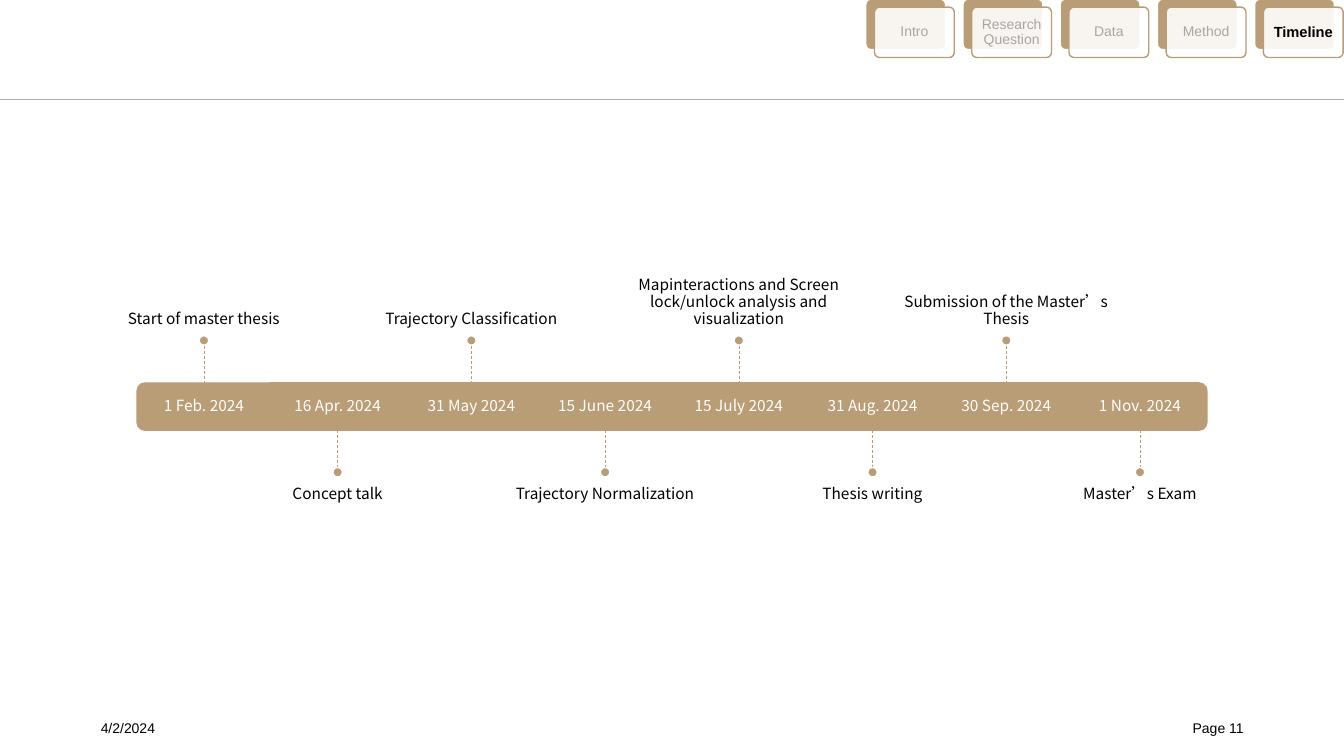
import dataclasses

import lxml.etree
import pptx
import pptx.dml.color
import pptx.enum.dml
import pptx.enum.shapes
import pptx.enum.text
import pptx.oxml.ns
import pptx.util

Cm = pptx.util.Cm
Pt = pptx.util.Pt
RGB = pptx.dml.color.RGBColor
Shape = pptx.enum.shapes.MSO_SHAPE
Straight = pptx.enum.shapes.MSO_CONNECTOR.STRAIGHT
Align = pptx.enum.text.PP_ALIGN
Anchor = pptx.enum.text.MSO_ANCHOR
qn = pptx.oxml.ns.qn


@dataclasses.dataclass(frozen=True)
class Theme:
    tan: RGB = RGB(0xB8, 0x9D, 0x76)
    white: RGB = RGB(0xFF, 0xFF, 0xFF)
    black: RGB = RGB(0, 0, 0)
    muted: RGB = RGB(0xA6, 0xA6, 0xA6)
    rule: RGB = RGB(0xA3, 0xAD, 0xB7)
    milestone_font: str = "Noto Sans CJK SC"
    frame_font: str = "Arial"
    milestone_size: float = 11
    frame_size: float = 10
    active_size: float = 10.5


theme = Theme()
presentation = pptx.Presentation()
presentation.slide_width = Cm(33.87)
presentation.slide_height = Cm(19.05)
slide = presentation.slides.add_slide(presentation.slide_layouts[6])
shapes = slide.shapes


def add_block(preset, left, top, width, height, fill, outline):
    block = shapes.add_shape(preset, Cm(left), Cm(top), Cm(width), Cm(height))
    block.shadow.inherit = False
    block.fill.solid()
    block.fill.fore_color.rgb = fill
    block.line.color.rgb = outline
    block.line.width = Pt(1)
    return block


def write(holder, text, font, size, color, align=Align.CENTER,
          anchor=Anchor.MIDDLE, margins=(0, 0, 0, 0), spacing=0.9, bold=False):
    frame = holder.text_frame
    frame.word_wrap = True
    frame.vertical_anchor = anchor
    (frame.margin_left, frame.margin_top,
     frame.margin_right, frame.margin_bottom) = map(Cm, margins)
    paragraph = frame.paragraphs[0]
    paragraph.text = text
    paragraph.alignment = align
    paragraph.line_spacing = spacing
    paragraph.font.name = font
    paragraph.font.size = Pt(size)
    paragraph.font.bold = bold
    paragraph.font.color.rgb = color


# Header rule
header_rule = shapes.add_connector(Straight, 0, Cm(2.51), presentation.slide_width, Cm(2.51))
header_rule.line.color.rgb = theme.rule
header_rule.line.width = Pt(1.25)
connectors = [header_rule]

# Timeline: one bar segment per milestone, labels alternating above and below
milestones = [
    ("1 Feb. 2024", "Start of master thesis"),
    ("16 Apr. 2024", "Concept talk"),
    ("31 May 2024", "Trajectory Classification"),
    ("15 June 2024", "Trajectory Normalization"),
    ("15 July 2024", "Mapinteractions and Screen lock/unlock analysis and visualization"),
    ("31 Aug. 2024", "Thesis writing"),
    ("30 Sep. 2024", "Submission of the Master’s Thesis"),
    ("1 Nov. 2024", "Master’s Exam"),
]
step, bar_top, bar_height = 3.37, 9.65, 1.19
first_center, bar_middle = 5.14, bar_top + bar_height / 2
label_width, label_height, dot_size, gap = 5.61, 4.14, 0.24, 0.23
end_rotation = {0: 270, len(milestones) - 1: 90}

for index, (date, event) in enumerate(milestones):
    center = first_center + index * step
    left = center - step / 2
    if index in end_rotation:
        segment = add_block(Shape.ROUND_2_SAME_RECTANGLE, center - bar_height / 2,
                            bar_middle - step / 2, bar_height, step, theme.tan, theme.tan)
        segment.rotation = end_rotation[index]
    else:
        add_block(Shape.RECTANGLE, left, bar_top, step, bar_height, theme.tan, theme.tan)
    date_box = shapes.add_textbox(Cm(left), Cm(bar_top), Cm(step), Cm(bar_height))
    write(date_box, date, theme.milestone_font, theme.milestone_size, theme.white,
          margins=(gap, gap, gap, gap))

    if index % 2 == 0:
        label_top, anchor, margins = 4.34, Anchor.BOTTOM, (0, 0, 0, gap)
        stem_start, stem_end, dot_top = 8.71, bar_top, 8.46
    else:
        label_top, anchor, margins = 12.01, Anchor.TOP, (0, gap, 0, 0)
        stem_start, stem_end, dot_top = bar_top + bar_height, 11.79, 11.78
    event_box = shapes.add_textbox(Cm(center - label_width / 2), Cm(label_top),
                                   Cm(label_width), Cm(label_height))
    write(event_box, event, theme.milestone_font, theme.milestone_size, theme.black,
          anchor=anchor, margins=margins)
    stem = shapes.add_connector(Straight, Cm(center), Cm(stem_start), Cm(center), Cm(stem_end))
    stem.line.color.rgb = theme.tan
    stem.line.width = Pt(0.5)
    stem.line.dash_style = pptx.enum.dml.MSO_LINE.DASH
    connectors.append(stem)
    add_block(Shape.OVAL, center - dot_size / 2, dot_top, dot_size, dot_size,
              theme.tan, theme.white)

# Connectors carry no shadow
for connector in connectors:
    lxml.etree.SubElement(connector._element.spPr, qn("a:effectLst"))

# Section navigation: a tan card behind a translucent white one
sections = ["Intro", "Research Question", "Data", "Method", "Timeline"]
for index, section in enumerate(sections):
    left = 21.82 + index * 2.45
    active = section == "Timeline"
    back_card = add_block(Shape.ROUNDED_RECTANGLE, left, -0.02, 2.01, 1.27,
                          theme.tan, theme.white)
    front_card = add_block(Shape.ROUNDED_RECTANGLE, left + 0.22, 0.18, 2.01, 1.27,
                           theme.white, theme.tan)
    for card in (back_card, front_card):
        card.adjustments[0] = 0.1
    white_fill = front_card._element.spPr.find(qn("a:solidFill")).find(qn("a:srgbClr"))
    lxml.etree.SubElement(white_fill, qn("a:alpha")).set("val", "90000")
    write(front_card, section, theme.frame_font,
          theme.active_size if active else theme.frame_size,
          theme.black if active else theme.muted,
          margins=(0.13, 0.13, 0.13, 0.13), bold=active)

# Footer: date and page number
for text, left, width, align in [("4/2/2024", 2.54, 3.45, Align.LEFT),
                                 ("Page 11", 29.03, 2.31, Align.RIGHT)]:
    footer = shapes.add_textbox(Cm(left), Cm(18.14), Cm(width), Cm(0.61))
    write(footer, text, theme.frame_font, theme.frame_size, theme.black,
          align=align, anchor=Anchor.TOP, spacing=1.0)

presentation.save("out.pptx")
